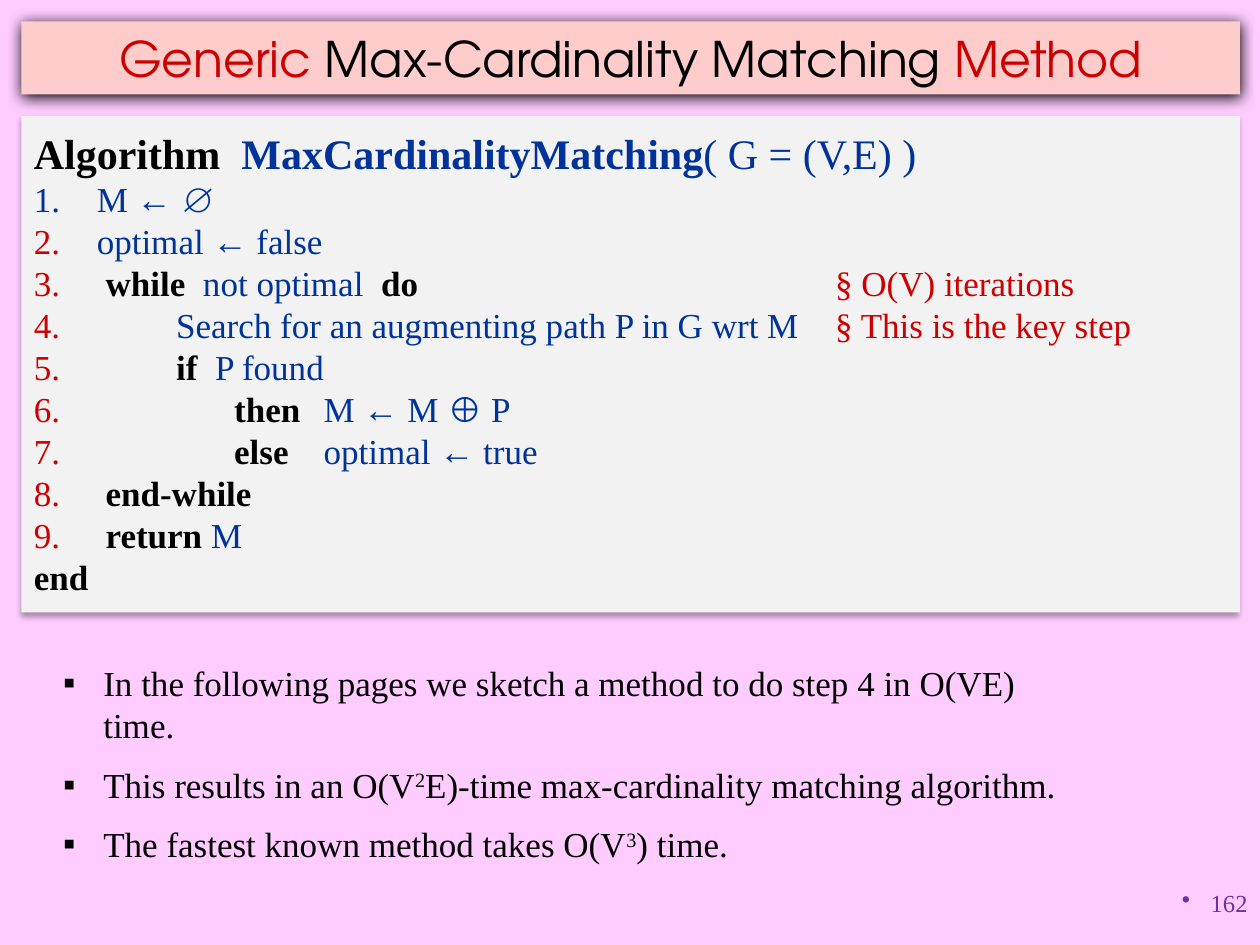
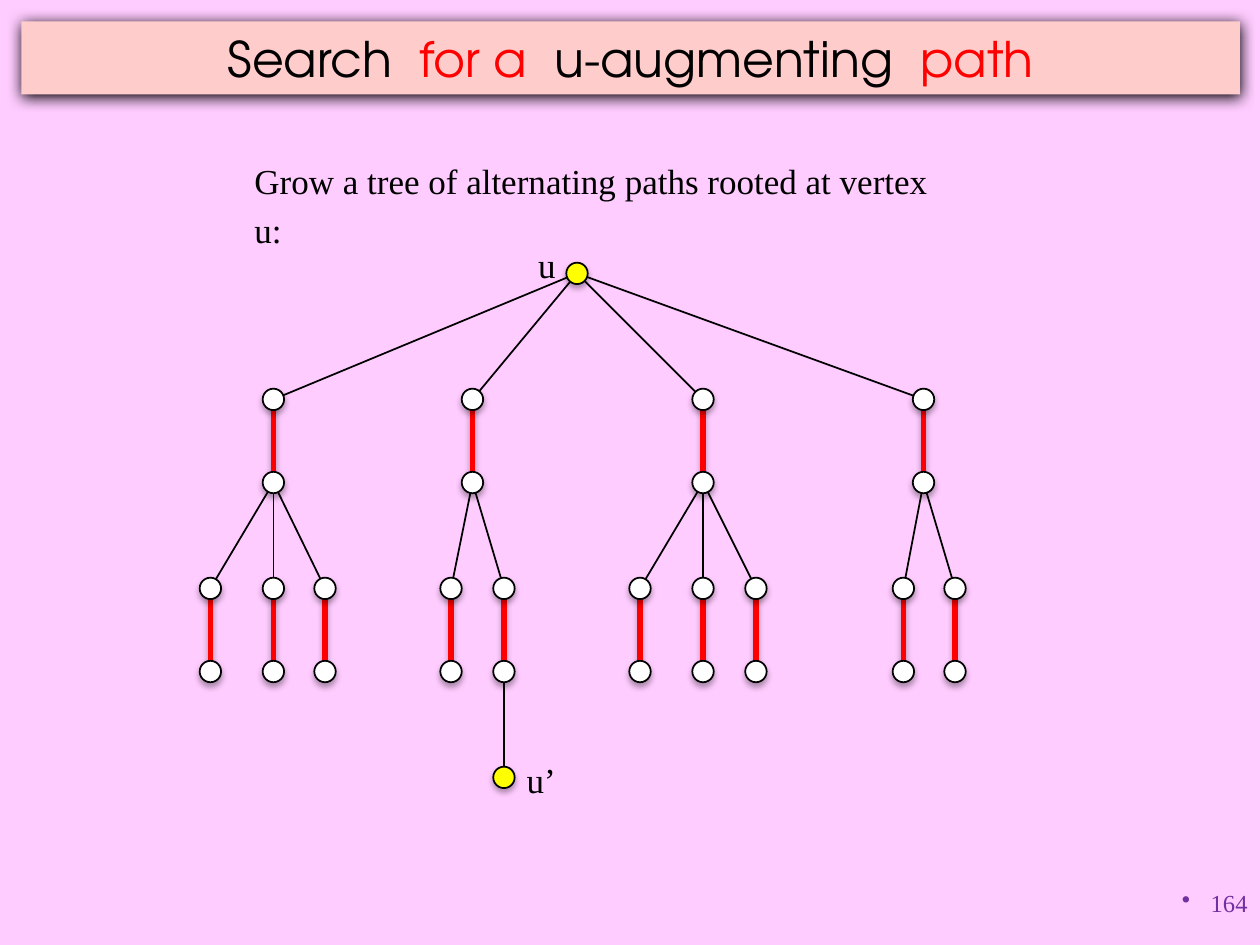
from lxml.etree import SubElement as Sub
from pptx import Presentation
from pptx.dml.color import RGBColor as Rgb
from pptx.enum.shapes import MSO_CONNECTOR as Link, MSO_SHAPE as Form
from pptx.enum.text import MSO_ANCHOR as Anchor, MSO_AUTO_SIZE as Fit, PP_ALIGN as Align
from pptx.oxml.ns import qn
from pptx.util import Inches, Pt

SERIF, SANS = "Times New Roman", "TeX Gyre Adventor"
BLACK, WHITE, BLUE, CRIMSON = "000000", "FFFFFF", "003399", "CC0000"
RED, YELLOW, PURPLE = "FF0000", "FFFF00", "7030A0"
PINK, ROSE, GREY = "FFCCFF", "FFCCCC", "F2F2F2"
SOFT, STRONG = (32, 3.5, 2.2), (100, 8.5, 1)
TABS = (1.13, 1.59, 2.3, 6.36)
DOT = 0.17


def tint(code):
    return Rgb.from_string(code)


class Deck:
    def __init__(self):
        self.prs = Presentation()
        self.prs.slide_width, self.prs.slide_height = Inches(10), Inches(7.5)
        fill = self.prs.slide_master.background.fill
        fill.solid()
        fill.fore_color.rgb = tint(PINK)
        self.slide = None

    def page(self, layout, title, number):
        self.slide = self.prs.slides.add_slide(self.prs.slide_layouts[layout])
        head = self.slide.shapes.title
        self.place(head, 0.17, 0.17, 9.67, 0.58)
        self.paint(head, ROSE, shade=STRONG)
        frame = self.frame(head, pad=0.05)
        frame.vertical_anchor = Anchor.MIDDLE
        self.words(frame.paragraphs[0], title, 28, SANS, Align.CENTER)
        para = self.text(7.92, 7, 2.08, 0.5, number, 14, Align.RIGHT, PURPLE)
        self.mark(para, 0.23, "buChar", char="•")

    def place(self, shape, left, top, width, height):
        shape.left, shape.top = Inches(left), Inches(top)
        shape.width, shape.height = Inches(width), Inches(height)

    def paint(self, shape, color, line=None, shade=SOFT):
        shape.fill.solid()
        shape.fill.fore_color.rgb = tint(color)
        if line:
            shape.line.color.rgb = tint(line)
            shape.line.width = Pt(1)
        else:
            shape.line.fill.background()
        shape.shadow.inherit = False
        self.shade(shape._element.spPr.find(qn("a:effectLst")), *shade)

    def shade(self, effects, alpha, blur, dist):
        outer = Sub(effects, qn("a:outerShdw"), blurRad=str(Pt(blur)), dist=str(Pt(dist)),
                    dir="5400000", rotWithShape="0")
        color = Sub(outer, qn("a:srgbClr"), val=BLACK)
        Sub(color, qn("a:alpha"), val=str(alpha * 1000))

    def frame(self, shape, pad=0.05, base=None, wrap=True):
        frame = shape.text_frame
        frame.word_wrap = wrap
        frame.auto_size = Fit.NONE
        frame.vertical_anchor = Anchor.TOP
        frame.margin_left = frame.margin_right = Inches(0.1)
        frame.margin_top = Inches(pad)
        frame.margin_bottom = Inches(pad if base is None else base)
        return frame

    def words(self, para, runs, size, face=SERIF, align=Align.LEFT):
        para.alignment = align
        para.font.size = Pt(size)
        para.font.name = face
        for text, color, *style in runs:
            run = para.add_run()
            run.text = text
            run.font.color.rgb = tint(color)
            if "bold" in style:
                run.font.bold = True
            if "super" in style:
                run.font._element.set("baseline", "30000")

    def mark(self, para, hang, kind=None, color=None, tabs=(), **attrs):
        props = para._p.get_or_add_pPr()
        props.set("marL", str(Inches(hang)))
        props.set("indent", str(-Inches(hang)))
        if color:
            Sub(Sub(props, qn("a:buClr")), qn("a:srgbClr"), val=color)
        Sub(props, qn("a:" + (kind or "buNone")), **attrs)
        if tabs:
            stops = Sub(props, qn("a:tabLst"))
            for stop in tabs:
                Sub(stops, qn("a:tab"), pos=str(Inches(stop)), algn="l")
        font = props.find(qn("a:defRPr"))
        if font is not None:
            props.append(font)

    def text(self, left, top, width, height, words, size=20, align=Align.LEFT,
             color=BLACK, wrap=True, pitch=None):
        box = self.slide.shapes.add_textbox(*map(Inches, (left, top, width, height)))
        para = self.frame(box, base=0.01, wrap=wrap).paragraphs[0]
        if pitch:
            para.line_spacing = pitch
        self.words(para, [(words, color)], size, align=align)
        return para

    def code(self, head, steps, tail):
        box = self.slide.shapes.add_shape(Form.RECTANGLE, *map(Inches, (0.17, 0.92, 9.67, 3.94)))
        self.paint(box, GREY)
        frame = self.frame(box, pad=0.09)
        para = frame.paragraphs[0]
        self.mark(para, 0.5)
        self.words(para, head, 24)
        for runs in steps:
            para = frame.add_paragraph()
            first = BLUE if runs is steps[0] else CRIMSON
            self.mark(para, 0.5, "buAutoNum", first, TABS, type="arabicPeriod")
            self.words(para, runs, 20)
        para = frame.add_paragraph()
        self.mark(para, 0.5)
        self.words(para, tail, 20)

    def bullets(self, items):
        body = self.slide.placeholders[1]
        self.place(body, 0.4, 5.2, 8.37, 1.4)
        frame = self.frame(body, base=0.01)
        for i, runs in enumerate(items):
            para = frame.add_paragraph() if i else frame.paragraphs[0]
            self.mark(para, 0.32, "buChar", char="▪")
            para.space_before = Pt(10 if i else 0)
            self.words(para, runs, 20)

    def edge(self, start, end, match=False):
        line = self.slide.shapes.add_connector(Link.STRAIGHT, *map(Inches, start + end))
        line.line.color.rgb = tint(RED if match else BLACK)
        line.line.width = Pt(3 if match else 1)
        effects = Sub(line._element.spPr, qn("a:effectLst"))
        if match:
            self.shade(effects, *SOFT)

    def node(self, spot, color=WHITE):
        x, y = spot
        box = (x - DOT / 2, y - DOT / 2, DOT, DOT)
        self.paint(self.slide.shapes.add_shape(Form.OVAL, *map(Inches, box)), color, BLACK)


def method(deck):
    deck.page(1, [("Generic", CRIMSON), (" Max-Cardinality Matching ", BLACK),
                  ("Method", CRIMSON)], "162")
    deck.code(
        [("Algorithm  ", BLACK, "bold"), ("MaxCardinalityMatching", BLUE, "bold"),
         ("( G = (V,E) )", BLUE)],
        [[("M ← ∅", BLUE)],
         [("optimal ← false", BLUE)],
         [(" ", CRIMSON), ("while  ", BLACK, "bold"), ("not optimal ", BLUE),
          (" do", BLACK, "bold"), ("\t§ O(V) iterations", CRIMSON)],
         [("\tSearch for an augmenting path P in G wrt M", BLUE),
          ("\t§ This is the key step", CRIMSON)],
         [("\t", CRIMSON), ("if  ", BLACK, "bold"), ("P found", BLUE)],
         [("\t\t", CRIMSON), ("then", BLACK, "bold"), ("\tM ← M ⊕ P", BLUE)],
         [("\t\t", CRIMSON), ("else", BLACK, "bold"), ("\toptimal ← true", BLUE)],
         [(" ", CRIMSON), ("end-while", BLACK, "bold")],
         [(" ", CRIMSON), ("return ", BLACK, "bold"), ("M", BLUE)]],
        [("end", BLACK, "bold")])
    deck.bullets([
        [("In the following pages we sketch a method to do step 4 in O(VE) time.", BLACK)],
        [("This results in an O(V", BLACK), ("2", BLACK, "super"),
         ("E)-time max-cardinality matching algorithm.", BLACK)],
        [("The fastest known method takes O(V", BLACK), ("3", BLACK, "super"),
         (") time.", BLACK)]])


def search(deck):
    deck.page(5, [("Search  ", BLACK), ("for a", RED), ("  u-augmenting  ", BLACK),
                  ("path", RED)], "164")
    root, goal = (4.58, 2.17), (4, 6.17)
    rows = (3.17, 3.83, 4.67, 5.33)
    tree = {2.17: (1.67, 2.17, 2.58), 3.75: (3.58, 4),
            5.58: (5.08, 5.58, 6), 7.33: (7.17, 7.58)}
    nodes = []
    for x, leaves in tree.items():
        top, fork = (x, rows[0]), (x, rows[1])
        deck.edge(root, top)
        deck.edge(top, fork, True)
        nodes += [top, fork]
        for leaf in leaves:
            near, far = (leaf, rows[2]), (leaf, rows[3])
            deck.edge(fork, near)
            deck.edge(near, far, True)
            nodes += [near, far]
    deck.edge((goal[0], rows[3]), goal)
    for spot in nodes:
        deck.node(spot)
    for spot in (root, goal):
        deck.node(spot, YELLOW)
    deck.text(4.17, 1.83, 0.34, 0.45, "u", align=Align.CENTER, wrap=False, pitch=1.15)
    deck.text(4.08, 5.92, 0.43, 0.45, "u’", align=Align.CENTER, wrap=False, pitch=1.15)
    deck.text(1.92, 1.17, 5.81, 0.45, "Grow a tree of alternating paths rooted at vertex u:",
              pitch=1.15)


def main():
    deck = Deck()
    method(deck)
    search(deck)
    deck.prs.save("out.pptx")


if __name__ == "__main__":
    main()
